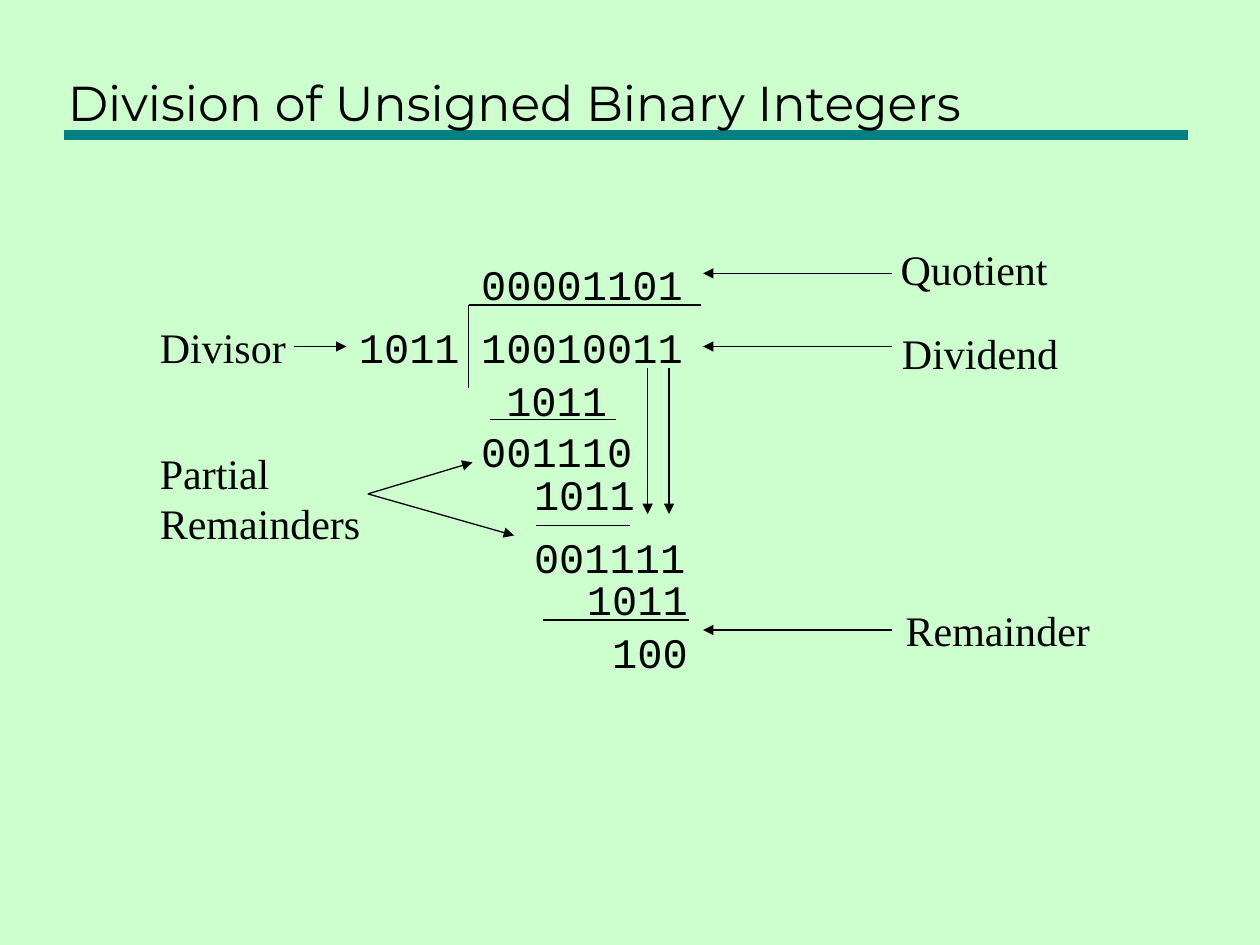
from pptx import Presentation, util as u
from pptx.dml.color import RGBColor
from pptx.enum import shapes, text
from pptx.oxml.ns import qn
from lxml import etree

COLORS = {"background": "CDFFCE", "ink": "000000", "rule": "008080"}
DIGIT_WIDTH = 0.2
SIDE_INSET = 0.1


class Deck:
    """Holds the fonts, colours and current slide."""
    title_font = "Montserrat"
    digit_font = "Courier New"
    label_font = "Times New Roman"

    def __init__(self, prs):
        self.s = prs.slides.add_slide(prs.slide_layouts[6])
        fill = self.s.background.fill
        fill.solid()
        fill.fore_color.rgb = self.color("background")

    def color(self, name):
        return RGBColor.from_string(COLORS[name])

    def text(self, x, y, w, h, lines, font, size=24):
        sp = self.s.shapes.add_textbox(*map(u.Inches, (x, y, w, h)))
        tf = sp.text_frame
        tf.word_wrap = False
        for i, line in enumerate(lines):
            p = tf.add_paragraph() if i else tf.paragraphs[0]
            r = p.add_run()
            r.text = line
            r.font.name = font
            r.font.size = u.Pt(size)
            r.font.color.rgb = self.color("ink")
        return tf

    def title(self, words):
        tf = self.text(0.44, 0.17, 8.97, 0.92, [words], self.title_font, 28)
        tf.word_wrap = True
        tf.vertical_anchor = text.MSO_ANCHOR.BOTTOM

    def label(self, x, y, w, *lines):
        tf = self.text(x, y, w, 0.1 + 0.4 * len(lines), lines, self.label_font)
        tf.auto_size = text.MSO_AUTO_SIZE.SHAPE_TO_FIT_TEXT

    def digits(self, x, y, number):
        """Place a binary number in a box as wide as its digits."""
        w = DIGIT_WIDTH * len(number) + 2 * SIDE_INSET
        tf = self.text(x, y, w, 0.5, [number], self.digit_font)
        tf.auto_size = text.MSO_AUTO_SIZE.SHAPE_TO_FIT_TEXT

    def line(self, x1, y1, x2, y2, color="ink", width=0.75):
        c = self.s.shapes.add_connector(
            shapes.MSO_CONNECTOR.STRAIGHT, *map(u.Inches, (x1, y1, x2, y2)))
        c.line.color.rgb = self.color(color)
        c.line.width = u.Pt(width)
        etree.SubElement(c._element.spPr, qn("a:effectLst"))
        return c

    def arrow(self, x1, y1, x2, y2):
        c = self.line(x1, y1, x2, y2)
        etree.SubElement(c.line._get_or_add_ln(), qn("a:tailEnd"), type="triangle")


def main():
    prs = Presentation()
    prs.slide_width, prs.slide_height = u.Inches(10), u.Inches(7.5)
    deck = Deck(prs)

    deck.line(0.51, 1.07, 9.43, 1.07, "rule", 6)
    deck.title("Division of Unsigned Binary Integers")

    # Long division, from the quotient down to the remainder
    for x, y, number in [
        (3.72, 2, "00001101"),
        (2.75, 2.5, "1011"),
        (3.72, 2.5, "10010011"),
        (3.92, 2.92, "1011"),
        (3.72, 3.33, "001110"),
        (4.14, 3.67, "1011"),
        (4.14, 4.17, "001111"),
        (4.56, 4.5, "1011"),
        (4.76, 4.92, "100"),
    ]:
        deck.digits(x, y, number)

    # Division bracket and subtraction lines
    deck.line(3.72, 2.42, 3.72, 3.08)
    for x1, x2, y in [(3.72, 5.56, 2.42), (3.89, 4.89, 3.33),
                      (4.25, 5, 4.17), (4.31, 5.47, 4.92)]:
        deck.line(x1, y, x2, y)

    # Digits brought down
    for x in (5.14, 5.31):
        deck.arrow(x, 2.92, x, 4.08)

    # Labels on the right, each with its arrow
    for name, x, y, w, arrow_y in [("Quotient", 7.05, 1.88, 1.4, 2.17),
                                   ("Dividend", 7.06, 2.55, 1.48, 2.75),
                                   ("Remainder", 7.09, 4.75, 1.7, 5)]:
        deck.label(x, y, w, name)
        deck.arrow(7.08, arrow_y, 5.58, arrow_y)

    # Labels on the left
    deck.label(1.17, 2.5, 1.22, "Divisor")
    deck.arrow(2.33, 2.75, 2.75, 2.75)
    deck.label(1.17, 3.5, 1.82, "Partial", "Remainders")
    for x, y in [(3.75, 3.67), (4.08, 4.25)]:
        deck.arrow(2.92, 3.92, x, y)

    prs.save("out.pptx")


if __name__ == "__main__":
    main()
